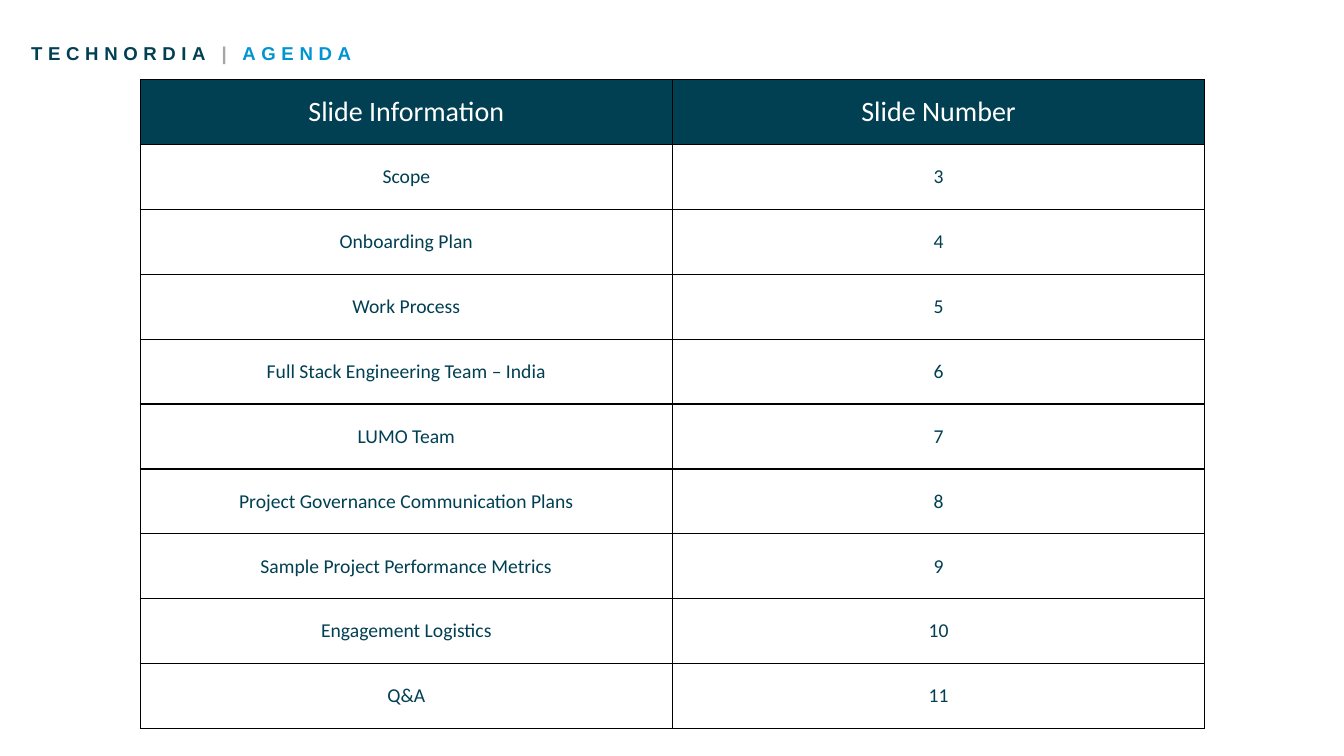
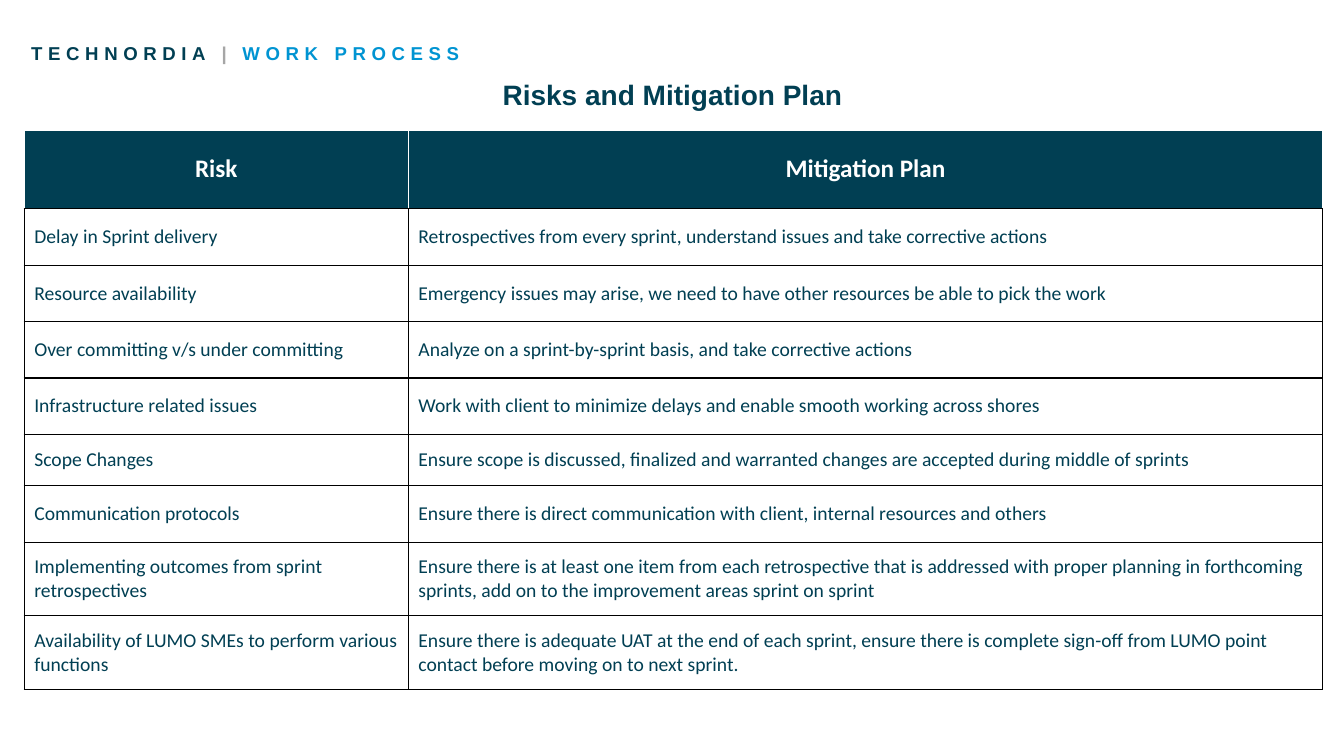
from lxml import etree
from pptx import Presentation
from pptx.dml.color import RGBColor
from pptx.enum.text import MSO_ANCHOR, PP_ALIGN
from pptx.oxml.ns import qn
from pptx.util import Inches, Pt

CENTER, LEFT = PP_ALIGN.CENTER, PP_ALIGN.LEFT
MIDDLE = MSO_ANCHOR.MIDDLE
COLORS = {"navy": "013F53", "blue": "0094D2", "gray": "A6A6A6", "white": "FFFFFF", "black": "000000"}
HEADING_FONT, TABLE_FONT = "Arial", "Calibri"
COMPANY = "TECHNORDIA"

AGENDA = [
    ("Slide Information", "Slide Number"),
    ("Scope", "3"),
    ("Onboarding Plan", "4"),
    ("Work Process", "5"),
    ("Full Stack Engineering Team – India", "6"),
    ("LUMO Team", "7"),
    ("Project Governance Communication Plans", "8"),
    ("Sample Project Performance Metrics", "9"),
    ("Engagement Logistics", "10"),
    ("Q&A", "11"),
]
RISKS = [
    ("Risk", "Mitigation Plan"),
    ("Delay in Sprint delivery",
     "Retrospectives from every sprint, understand issues and take corrective actions"),
    ("Resource availability",
     "Emergency issues may arise, we need to have other resources be able to pick the work"),
    ("Over committing v/s under committing",
     "Analyze on a sprint-by-sprint basis, and take corrective actions"),
    ("Infrastructure related issues",
     "Work with client to minimize delays and enable smooth working across shores"),
    ("Scope Changes",
     "Ensure scope is discussed, finalized and warranted changes are accepted during middle of sprints"),
    ("Communication protocols",
     "Ensure there is direct communication with client, internal resources and others"),
    ("Implementing outcomes from sprint retrospectives",
     "Ensure there is at least one item from each retrospective that is addressed with proper planning "
     "in forthcoming sprints, add on to the improvement areas sprint on sprint"),
    ("Availability of LUMO SMEs to perform various functions",
     "Ensure there is adequate UAT at the end of each sprint, ensure there is complete sign-off from "
     "LUMO point contact before moving on to next sprint."),
]


def color(name):
    """Return the named palette colour."""
    return RGBColor.from_string(COLORS[name])


def add_span(para, text, font, size, ink, bold=False, spacing=0):
    """Add one formatted run, with letter spacing in points."""
    span = para.add_run()
    span.text = text
    span.font.name = font
    span.font.size = Pt(size)
    span.font.bold = bold
    span.font.color.rgb = color(ink)
    if spacing:
        span.font._element.set("spc", str(round(spacing * 100)))


def add_box(page, left, top, width, height):
    """Add a wrapping text box and return its text frame."""
    box = page.shapes.add_textbox(Inches(left), Inches(top), Inches(width), Inches(height))
    box.text_frame.word_wrap = True
    return box.text_frame


def add_page(deck, section):
    """Add a blank page with the shared company and section title."""
    page = deck.slides.add_slide(deck.slide_layouts[6])
    frame = add_box(page, 0, 0.37, 13.33, 0.33)
    frame.margin_left = Inches(0.31)
    for text, ink, spacing in ((COMPANY + " ", "navy", 4), ("| ", "gray", 3.7), (section, "blue", 4)):
        add_span(frame.paragraphs[0], text, HEADING_FONT, 13.3, ink, True, spacing)
    return page


def add_subtitle(page, text):
    """Add the centred heading above a table."""
    para = add_box(page, 4.24, 0.72, 4.86, 0.44).paragraphs[0]
    para.alignment = CENTER
    add_span(para, text, HEADING_FONT, 20, "navy", True)


def set_borders(cell, edges):
    """Draw one-point cell borders from a side-to-colour mapping."""
    properties = cell._tc.get_or_add_tcPr()
    for side, ink in edges.items():
        line = etree.SubElement(properties, qn("a:ln" + side), w=str(Pt(1)))
        fill = etree.SubElement(line, qn("a:solidFill"))
        etree.SubElement(fill, qn("a:srgbClr"), val=COLORS[ink])


def add_grid(page, left, top, widths, heights, rows, header_size, header_bold=False,
             header_edge="black", body_align=LEFT, margins=(0.1, 0.05)):
    """Add a bordered table with a dark header row."""
    shape = page.shapes.add_table(len(rows), len(widths), Inches(left), Inches(top),
                                  Inches(sum(widths)), Inches(sum(heights)))
    table = shape.table
    table.first_row = table.horz_banding = False
    for column, width in zip(table.columns, widths):
        column.width = Inches(width)
    for row_index, (values, height) in enumerate(zip(rows, heights)):
        table.rows[row_index].height = Inches(height)
        header = row_index == 0
        edges = dict.fromkeys("LRT", header_edge if header else "black") | {"B": "black"}
        for column_index, text in enumerate(values):
            cell = table.cell(row_index, column_index)
            set_borders(cell, edges)
            cell.fill.solid()
            cell.fill.fore_color.rgb = color("navy" if header else "white")
            cell.vertical_anchor = MIDDLE
            cell.margin_left = cell.margin_right = Inches(margins[0])
            cell.margin_top = cell.margin_bottom = Inches(margins[1])
            para = cell.text_frame.paragraphs[0]
            para.alignment = CENTER if header else body_align
            if header:
                add_span(para, text, TABLE_FONT, header_size, "white", header_bold)
            else:
                add_span(para, text, TABLE_FONT, 14, "navy")


def main():
    """Build and save the deck."""
    deck = Presentation()
    deck.slide_width, deck.slide_height = Inches(13.33), Inches(7.5)

    page = add_page(deck, "AGENDA")
    add_grid(page, 1.39, 0.79, [5.28] * 2, [6.44 / len(AGENDA)] * len(AGENDA), AGENDA, 20,
             body_align=CENTER, margins=(0.13, 0.07))

    page = add_page(deck, "WORK PROCESS")
    add_grid(page, 0.24, 1.29, [3.81, 9.07], [0.78, *[0.56] * 4, 0.51, 0.56, 0.73, 0.73], RISKS, 18,
             header_bold=True, header_edge="white")
    add_subtitle(page, "Risks and Mitigation Plan")

    deck.save("out.pptx")


if __name__ == "__main__":
    main()
